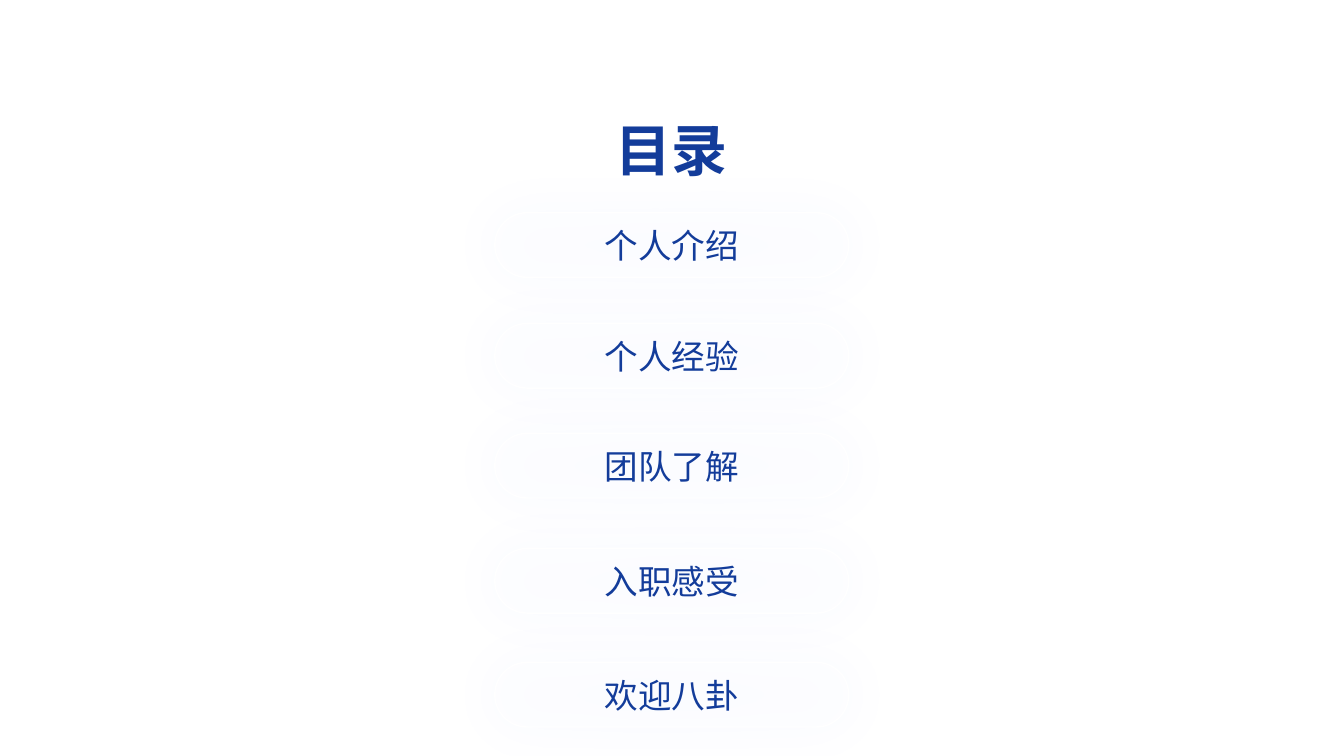
from dataclasses import dataclass

from lxml.etree import SubElement
from pptx import Presentation
from pptx.dml.color import RGBColor
from pptx.enum.shapes import MSO_SHAPE as Preset
from pptx.enum.text import MSO_ANCHOR as Anchor, PP_ALIGN as Align
from pptx.oxml.ns import qn
from pptx.shapes.autoshape import Shape
from pptx.slide import Slide
from pptx.text.text import TextFrame
from pptx.util import Cm, Pt

COLORS = {"white": "FFFFFF", "navy": "133C9A", "glow": "336FFF"}
FONT = "Lato"
PILL_LEFT, PILL_WIDTH, PILL_HEIGHT = Cm(12.47), Cm(8.92), Cm(1.63)


@dataclass(frozen=True)
class Section:
    title: str
    top: float  # in centimetres


SECTIONS = [
    Section("个人介绍", 5.36),
    Section("个人经验", 8.15),
    Section("团队了解", 10.92),
    Section("入职感受", 13.82),
    Section("欢迎八卦", 16.69),
]


def color(name: str) -> RGBColor:
    return RGBColor.from_string(COLORS[name])


def write(frame: TextFrame, text: str, size: int, bold: bool = False) -> None:
    frame.word_wrap = True
    paragraph = frame.paragraphs[0]
    paragraph.text = text
    paragraph.alignment = Align.CENTER
    font = paragraph.font
    font.name, font.size, font.bold = FONT, Pt(size), bold
    font.color.rgb = color("navy")


def add_alpha(color_element, percent: int) -> None:
    SubElement(color_element, qn("a:alpha"), val=str(percent * 1000))


def add_glow(pill: Shape) -> None:
    pill.shadow.inherit = False
    effects = pill.element.spPr.find(qn("a:effectLst"))
    glow = SubElement(effects, qn("a:outerShdw"), blurRad=str(Pt(37.4)),
                      dist="0", dir="0", algn="ctr", rotWithShape="0")
    add_alpha(SubElement(glow, qn("a:srgbClr"), val=COLORS["glow"]), 6)


def add_section(slide: Slide, section: Section) -> None:
    pill = slide.shapes.add_shape(Preset.ROUNDED_RECTANGLE, PILL_LEFT,
                                  Cm(section.top), PILL_WIDTH, PILL_HEIGHT)
    pill.adjustments[0] = 0.5
    add_glow(pill)
    pill.fill.solid()
    pill.fill.fore_color.rgb = color("white")
    add_alpha(pill.element.spPr.find(qn("a:solidFill"))[0], 48)
    pill.line.color.rgb = color("white")
    pill.line.width = Pt(1)
    pill.text_frame.vertical_anchor = Anchor.MIDDLE
    write(pill.text_frame, section.title, 24)


def main() -> None:
    deck = Presentation()
    deck.slide_width, deck.slide_height = Cm(33.87), Cm(19.05)
    slide = deck.slides.add_slide(deck.slide_layouts[6])
    slide.background.fill.solid()
    slide.background.fill.fore_color.rgb = color("white")

    # Heading
    heading = slide.shapes.add_textbox(Cm(14.91), Cm(2.97), Cm(4.04), Cm(2.01))
    write(heading.text_frame, "目录", 40, bold=True)
    heading.text_frame.paragraphs[0].line_spacing = 0.9

    # Contents
    for section in SECTIONS:
        add_section(slide, section)

    deck.save("out.pptx")


if __name__ == "__main__":
    main()
